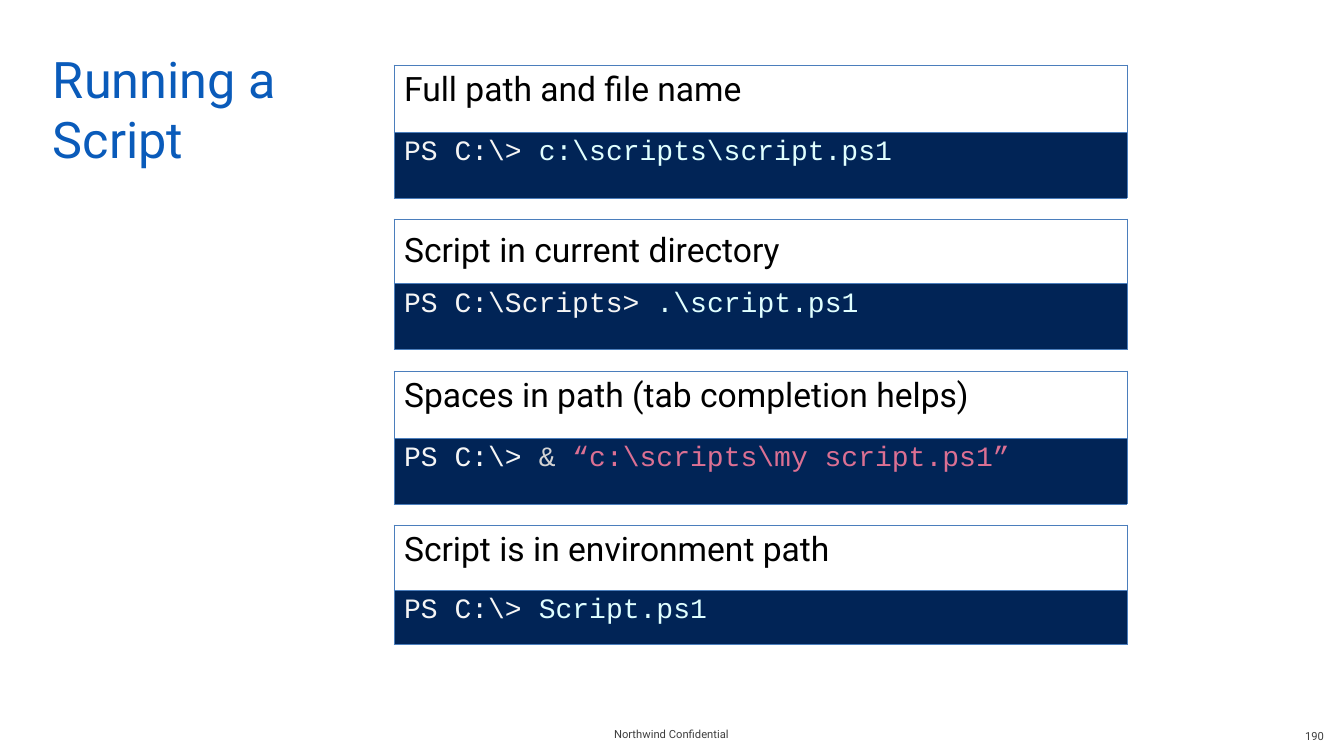
from lxml import etree
from pptx import Presentation, util as u
from pptx.dml.color import RGBColor
from pptx.enum import text as t
from pptx.oxml.ns import qn

SANS, MONO = "Roboto", "Courier New"
BLUE, GRAY, NAVY, EDGE = "0A5BBA", "3F3F3F", "012456", "4B7EBC"
PROMPT, CMD, SIGN, QUOTE = "F5F5F5", "E0FFFF", "D3D3D3", "DB7093"
TOP, MID = t.MSO_ANCHOR.TOP, t.MSO_ANCHOR.MIDDLE
LEFT, CENTER, RIGHT = t.PP_ALIGN.LEFT, t.PP_ALIGN.CENTER, t.PP_ALIGN.RIGHT

LABELS = [
    ("Running a\vScript", (33, 33, 1243, 76), 36, BLUE, LEFT, TOP, (20, 15, 10, 5)),
    ("Northwind Confidential", (515, 714, 313, 40), 8, GRAY, CENTER, MID, (20, 5, 20, 5)),
    ("190", (1031, 716, 313, 40), 8, GRAY, RIGHT, MID, (20, 5, 20, 5)),
]
CARDS = [
    ("Full path and file name", TOP, (67, 66),
     [("PS C:\\> ", PROMPT), ("c:\\scripts\\script.ps1", CMD)]),
    ("Script in current directory", MID, (65, 66),
     [("PS C:\\Scripts> ", PROMPT), (".\\script.ps1", CMD)]),
    ("Spaces in path (tab completion helps)", TOP, (67, 66),
     [("PS C:\\> ", PROMPT), ("& ", SIGN), ("“c:\\scripts\\my script.ps1”", QUOTE)]),
    ("Script is in environment path", TOP, (65, 55),
     [("PS C:\\> ", PROMPT), ("Script.ps1", CMD)]),
]
X, Y, WIDE, GAP = 394, 65, 733, 21


def px(n):
    return u.Emu(round(n * 914400 / 100.8))


def rgb(code):
    return RGBColor.from_string(code)


def style(font, name, size, color=None):
    font.name, font.size = name, u.Pt(size)
    if color:
        font.color.rgb = rgb(color)


def label(slide, words, box, size, color, align, anchor, pads):
    frame = slide.shapes.add_textbox(*map(px, box)).text_frame
    frame.word_wrap = True
    frame.vertical_anchor = anchor
    (frame.margin_left, frame.margin_top,
     frame.margin_right, frame.margin_bottom) = map(px, pads)
    para = frame.paragraphs[0]
    para.text = words
    para.alignment = align
    style(para.font, SANS, size, color)


def border(cell):
    props = cell._tc.get_or_add_tcPr()
    for i, side in enumerate(("lnL", "lnR", "lnT", "lnB")):
        line = etree.Element(qn("a:" + side), w=str(u.Pt(0.75)))
        fill = etree.SubElement(line, qn("a:solidFill"))
        etree.SubElement(fill, qn("a:srgbClr"), val=EDGE)
        props.insert(i, line)


def card(slide, top, head, anchor, rows, code):
    table = slide.shapes.add_table(2, 1, px(X), px(top), px(WIDE), px(sum(rows))).table
    table.first_row = table.horz_banding = False
    table.columns[0].width = px(WIDE)
    for row, high in zip(table.rows, rows):
        row.height = px(high)
    name, shell = table.cell(0, 0), table.cell(1, 0)
    name.fill.background()
    name.vertical_anchor = anchor
    para = name.text_frame.paragraphs[0]
    para.text = head
    style(para.font, SANS, 24, "000000")
    shell.fill.solid()
    shell.fill.fore_color.rgb = rgb(NAVY)
    para = shell.text_frame.paragraphs[0]
    style(para.font, MONO, 20)
    for words, color in code:
        run = para.add_run()
        run.text = words
        run.font.color.rgb = rgb(color)
    border(name)
    border(shell)


def main():
    deck = Presentation()
    deck.slide_width, deck.slide_height = px(1344), px(756)
    slide = deck.slides.add_slide(deck.slide_layouts[6])
    for item in LABELS:
        label(slide, *item)
    top = Y
    for head, anchor, rows, code in CARDS:
        card(slide, top, head, anchor, rows, code)
        top += sum(rows) + GAP
    deck.save("out.pptx")


if __name__ == "__main__":
    main()
